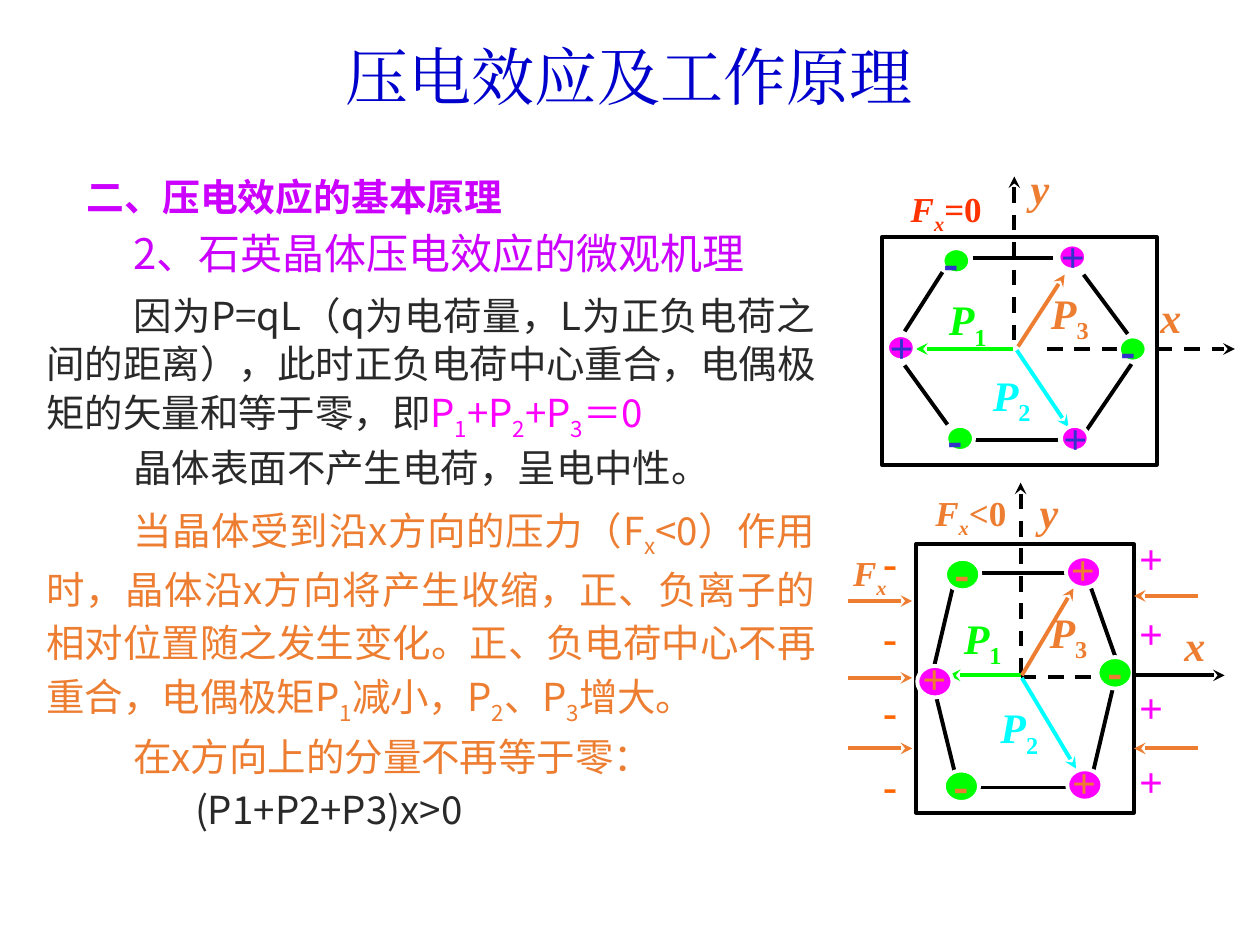
from dataclasses import dataclass

from lxml import etree
from pptx import Presentation
from pptx.dml.color import RGBColor
from pptx.enum.dml import MSO_LINE
from pptx.enum.shapes import MSO_CONNECTOR, MSO_SHAPE
from pptx.enum.text import MSO_ANCHOR, PP_ALIGN
from pptx.oxml.ns import qn
from pptx.util import Inches, Pt

DASH = MSO_LINE.DASH
STRAIGHT = MSO_CONNECTOR.STRAIGHT
OVAL, RECTANGLE = MSO_SHAPE.OVAL, MSO_SHAPE.RECTANGLE
MIDDLE = MSO_ANCHOR.MIDDLE
LEFT, CENTER, JUSTIFY = PP_ALIGN.LEFT, PP_ALIGN.CENTER, PP_ALIGN.JUSTIFY


@dataclass(frozen=True)
class Theme:
    sans: str = "Noto Sans CJK SC"
    serif: str = "Times New Roman"
    title: str = "0000CC"
    heading: str = "CC00FF"
    body: str = "292929"
    orange: str = "ED7D31"
    magenta: str = "FF00FF"
    green: str = "00FF00"
    cyan: str = "00FFFF"
    red: str = "FF3300"
    charge: str = "FF6600"
    blue: str = "3333CC"
    black: str = "000000"
    white: str = "FFFFFF"
    title_size: float = 36
    section_size: float = 21.6
    heading_size: float = 24
    body_size: float = 22
    symbol_size: float = 24
    force_size: float = 20
    stroke: float = 2.25


THEME = Theme()


@dataclass(frozen=True)
class Sign:
    dx: float
    dy: float
    width: float
    height: float
    align: PP_ALIGN
    font: str


@dataclass(frozen=True)
class Cell:
    box: tuple
    ion_size: tuple
    sign_color: str
    signs: dict
    ions: list
    bonds: list
    axes: list
    dipoles: list
    force_color: str
    relation: str
    labels: dict


def rgb(color):
    return RGBColor.from_string(color)


def add_spans(para, marked, color=None, italic=None):
    for index, text in enumerate(marked.split("|")):
        if text:
            span = para.add_run()
            span.text = text
            if color:
                span.font.color.rgb = rgb(color)
            if italic:
                span.font.italic = True
            if index % 2:
                span._r.get_or_add_rPr().set("baseline", "-25000")


def style_para(para, font, size, color, bold=False, align=LEFT, spacing=None, indent=0):
    para.alignment = align
    para.line_spacing = spacing
    properties = para._p.get_or_add_pPr()
    properties.set("marL", "0")
    properties.set("indent", str(Inches(indent)))
    para.font.name, para.font.size, para.font.bold = font, Pt(size), bold
    para.font.color.rgb = rgb(color)
    east_asian = etree.SubElement(properties.find(qn("a:defRPr")), qn("a:ea"))
    east_asian.set("typeface", font)


def add_box(shapes, left, top, width, height, inset=True):
    box = shapes.add_textbox(Inches(left), Inches(top), Inches(width), Inches(height))
    frame = box.text_frame
    frame.word_wrap = True
    if not inset:
        frame.margin_left = frame.margin_right = frame.margin_top = frame.margin_bottom = 0
    return frame


def add_label(shapes, box, parts, color, size=THEME.symbol_size, font=THEME.serif, align=LEFT):
    para = add_box(shapes, *box, inset=False).paragraphs[0]
    style_para(para, font, size, color, bold=True, align=align)
    for marked, italic in parts:
        add_spans(para, marked, italic=italic)


def add_line(shapes, ends, color, arrow=None, dash=None):
    line = shapes.add_connector(STRAIGHT, *(Inches(value) for value in ends))
    line.line.color.rgb = rgb(color)
    line.line.width = Pt(THEME.stroke)
    if dash:
        line.line.dash_style = dash
    if arrow:
        etree.SubElement(line.line._get_or_add_ln(), qn(arrow)).set("type", "stealth")
    etree.SubElement(line._element.spPr, qn("a:effectLst"))


def add_outline(shapes, kind, box, line_color, fill=None):
    shape = shapes.add_shape(kind, *(Inches(value) for value in box))
    shape.shadow.inherit = False
    if fill:
        shape.fill.solid()
        shape.fill.fore_color.rgb = rgb(fill)
    else:
        shape.fill.background()
    shape.line.color.rgb = rgb(line_color)
    shape.line.width = Pt(THEME.stroke)


def draw_title(page, box):
    para = add_box(page.shapes, *box).paragraphs[0]
    style_para(para, THEME.serif, THEME.title_size, THEME.title, align=CENTER)
    add_spans(para, "压电效应及工作原理")


def draw_section(page, box):
    frame = add_box(page.shapes, *box)
    frame.vertical_anchor = MIDDLE
    style_para(frame.paragraphs[0], THEME.sans, THEME.section_size, THEME.heading, True, spacing=0.85)
    add_spans(frame.paragraphs[0], "二、压电效应的基本原理")


def draw_passage(page, box, size, color, spacing, paragraphs):
    frame = add_box(page.shapes, *box)
    for index, (indent, spans) in enumerate(paragraphs):
        para = frame.add_paragraph() if index else frame.paragraphs[0]
        style_para(para, THEME.sans, size, color, align=JUSTIFY, spacing=spacing, indent=indent)
        for span in spans:
            add_spans(para, *span)


def draw_cell(page, cell):
    left, top, width, height = cell.box
    shapes = page.shapes.add_group_shape().shapes

    def shift(values):
        return [value + origin for value, origin in zip(values, (left, top) * 2)]

    def place(box):
        return (left + box[0], top + box[1], *box[2:])

    def draw_ion(x, y, sign):
        ion_width, ion_height = cell.ion_size
        fill = THEME.magenta if sign == "+" else THEME.green
        add_outline(shapes, OVAL, place((x - ion_width / 2, y - ion_height / 2, ion_width, ion_height)),
                    THEME.white, fill)
        mark = cell.signs[sign]
        add_label(shapes, place((x + mark.dx, y + mark.dy, mark.width, mark.height)), [(sign, False)],
                  cell.sign_color, font=mark.font, align=mark.align)

    for bond in cell.bonds:
        add_line(shapes, shift(bond), THEME.black)
    for ends, arrow, dash in cell.axes:
        add_line(shapes, shift(ends), THEME.black, arrow, dash)
    for ends, color in zip(cell.dipoles, (THEME.green, THEME.cyan, THEME.orange)):
        add_line(shapes, shift(ends), color, "a:tailEnd")
    for ion in cell.ions[:-1]:
        draw_ion(*ion)
    add_outline(shapes, RECTANGLE, cell.box, THEME.black)
    draw_ion(*cell.ions[-1])

    add_label(shapes, place(cell.labels["F"]), [("F|x|", True), (cell.relation, False)],
              cell.force_color, THEME.force_size, align=CENTER)
    for axis in "xy":
        add_label(shapes, place(cell.labels[axis]), [(axis, True)], THEME.orange)
    for number, color in zip("123", (THEME.green, THEME.cyan, THEME.orange)):
        add_label(shapes, place(cell.labels[number]), [("P", True), (f"|{number}|", False)], color)


def draw_forces(page, box):
    left, top, width, height = box
    shapes = page.shapes.add_group_shape().shapes
    add_label(shapes, (left - 0.5, top + 0.06, 0.52, 0.52), [("F|x|", True)], THEME.orange, THEME.force_size)
    sides = ((left - 0.54, left - 0.03, (0.45, 1.06, 1.62)),
             (left + width + 0.51, left + width, (0.41, 1.62)))
    for start, end, rows in sides:
        for row in rows:
            add_line(shapes, (start, top + row, end, top + row), THEME.orange, "a:tailEnd")
    for row in range(4):
        y = top + 0.59 * row
        add_label(shapes, (left - 0.26, y - 0.06, 0.39, 0.46), [("-", False)], THEME.charge)
        add_label(shapes, (left + 1.77, y - 0.09, 0.44, 0.4), [("+", False)], THEME.magenta)


NEUTRAL = Cell(
    box=(7, 1.88, 2.18, 1.81), ion_size=(0.22, 0.2), sign_color=THEME.blue,
    signs={"+": Sign(-0.09, -0.21, 0.48, 0.55, LEFT, THEME.serif),
           "-": Sign(-0.1, -0.18, 0.49, 0.39, LEFT, THEME.sans)},
    ions=[(0.59, 0.19, "-"), (1.51, 0.16, "+"), (0.15, 0.88, "+"),
          (0.62, 1.6, "-"), (1.53, 1.6, "+"), (1.99, 0.89, "-")],
    bonds=[(1.62, 1.54, 1.98, 1.01), (0.72, 1.61, 1.4, 1.61), (0.18, 1.02, 0.52, 1.49),
           (0.48, 0.28, 0.18, 0.75), (0.72, 0.17, 1.36, 0.17), (1.6, 0.3, 1.95, 0.77)],
    axes=[((1.05, -0.48, 1.05, 0.91), "a:headEnd", DASH), ((1.31, 0.89, 2.8, 0.89), "a:tailEnd", DASH)],
    dipoles=[(1.04, 0.89, 0.27, 0.89), (1.07, 0.9, 1.48, 1.51), (1.08, 0.87, 1.45, 0.3)],
    force_color=THEME.red, relation="=0",
    labels={"F": (0.05, -0.39, 0.92, 0.37), "x": (2.21, 0.43, 0.39, 0.54), "y": (1.18, -0.59, 0.39, 0.39),
            "1": (0.53, 0.45, 0.61, 0.51), "2": (0.88, 1.05, 0.54, 0.41), "3": (1.34, 0.4, 0.48, 0.51)})

PRESSED = Cell(
    box=(7.27, 4.32, 1.73, 2.13), ion_size=(0.28, 0.25), sign_color=THEME.orange,
    signs={"+": Sign(-0.1, -0.23, 0.44, 0.51, LEFT, THEME.serif),
           "-": Sign(-0.19, -0.2, 0.38, 0.36, CENTER, THEME.sans)},
    ions=[(0.37, 0.24, "-"), (1.33, 0.22, "+"), (0.36, 1.92, "-"),
          (1.34, 1.91, "+"), (1.58, 1.02, "-"), (0.15, 1.09, "+")],
    bonds=[(1.4, 1.83, 1.57, 1.11), (0.5, 1.93, 1.19, 1.93), (0.49, 0.23, 1.2, 0.23),
           (0.12, 1.07, 0.29, 0.35), (0.16, 1.21, 0.32, 1.86), (1.39, 0.35, 1.62, 1)],
    axes=[((0.83, -0.49, 0.83, 1.05), "a:headEnd", DASH), ((0.83, 1.05, 1.45, 1.05), None, DASH),
          ((1.71, 1.04, 2.45, 1.04), "a:tailEnd", None)],
    dipoles=[(0.83, 1.04, 0.26, 1.04), (0.84, 1.06, 1.27, 1.78), (0.84, 1.04, 1.25, 0.35)],
    force_color=THEME.orange, relation="<0",
    labels={"F": (0.01, -0.42, 0.85, 0.4), "x": (2.13, 0.6, 0.24, 0.57), "y": (0.98, -0.46, 0.49, 0.37),
            "1": (0.38, 0.54, 0.76, 0.61), "2": (0.67, 1.25, 0.55, 0.49), "3": (1.06, 0.49, 0.51, 0.5)})

HEADING = [(0.69, [("2、石英晶体压电效应的微观机理",)])]
BALANCE = [
    (0.69, [("因为P=qL（q为电荷量，L为正负电荷之间的距离），此时正负电荷中心重合，电偶极矩的矢量和等于零，即",),
            ("P|1|+P|2|+P|3|＝0", THEME.magenta)]),
    (0.69, [("晶体表面不产生电荷，呈电中性。",)])]
PRESSURE = [
    (0.69, [("当晶体受到沿x方向的压力（F|x|<0）作用时，晶体沿x方向将产生收缩，正、负离子的相对位置随之发生变化。"
             "正、负电荷中心不再重合，电偶极矩P|1|减小，P|2|、P|3|增大。",)]),
    (0.69, [("在x方向上的分量不再等于零：",)]),
    (1.18, [("(P1+P2+P3)x>0", THEME.body)])]


def main():
    deck = Presentation()
    deck.slide_width, deck.slide_height = Inches(10), Inches(7.5)
    page = deck.slides.add_slide(deck.slide_layouts[6])
    draw_title(page, (0.98, 0.25, 8.03, 0.7))
    draw_section(page, (0.59, 1.39, 8.98, 0.39))
    draw_passage(page, (0.27, 1.7, 5.75, 0.56), THEME.heading_size, THEME.heading, 1.15, HEADING)
    draw_passage(page, (0.27, 2.25, 6.3, 1.64), THEME.body_size, THEME.body, 1.05, BALANCE)
    draw_passage(page, (0.27, 3.91, 6.3, 2.63), THEME.body_size, THEME.orange, 1.15, PRESSURE)
    draw_cell(page, NEUTRAL)
    draw_cell(page, PRESSED)
    draw_forces(page, PRESSED.box)
    deck.save("out.pptx")


if __name__ == "__main__":
    main()
